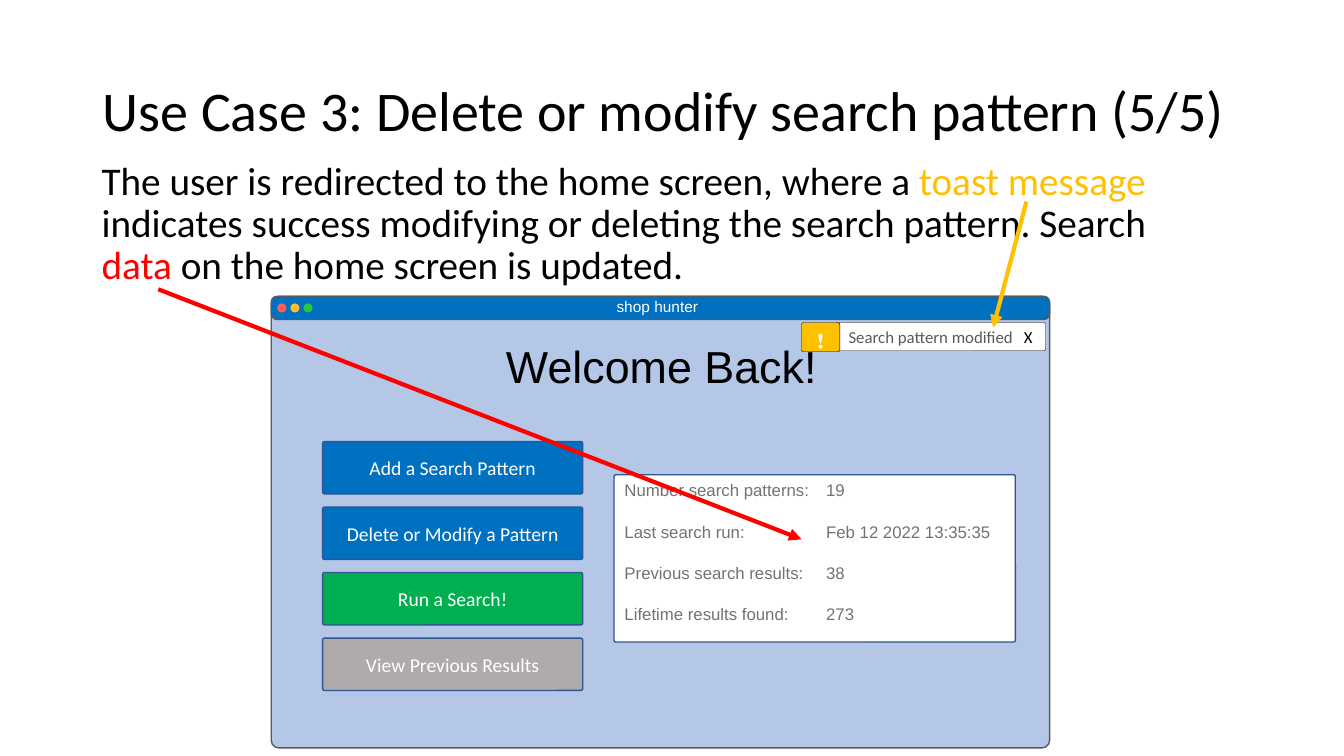
from dataclasses import dataclass

from lxml import etree
from pptx import Presentation
from pptx import util as u
from pptx.dml.color import RGBColor
from pptx.enum import shapes, text
from pptx.oxml import ns


@dataclass
class Theme:
    sans: str = "Calibri"
    app: str = "Arial"
    black: str = "000000"
    white: str = "FFFFFF"
    blue: str = "0070C0"
    pale: str = "B4C7E7"
    edge: str = "325491"
    frame: str = "595959"
    label: str = "767171"
    green: str = "00B050"
    gray: str = "AFABAB"
    gold: str = "FFC000"
    red: str = "FF0000"
    title: int = 40
    body: int = 28
    hero: int = 32
    button: int = 14
    small: int = 12
    bar: int = 11


T = Theme()
TITLE = "Use Case 3: Delete or modify search pattern (5/5)"
BODY = [
    ("The user is redirected to the home screen, where a ", T.black),
    ("toast message ", T.gold),
    ("indicates success modifying or deleting the search pattern. Search ", T.black),
    ("data", T.red),
    (" on the home screen is updated.", T.black),
]
APP = "shop hunter"
HERO = "Welcome Back!"
DOTS = ["FF5F57", "FFBC2E", "28C840"]
BUTTONS = [
    ("Add a Search Pattern", T.blue),
    ("Delete or Modify a Pattern", T.blue),
    ("Run a Search!", T.green),
    ("View Previous Results", T.gray),
]
STATS = [
    ("Number search patterns:", "19"),
    ("Last search run:", "Feb 12 2022 13:35:35"),
    ("Previous search results:", "38"),
    ("Lifetime results found:", "273"),
]
TOAST = [("Search pattern modified\t", T.frame), ("X", T.black)]
ALERT = [("❗️", T.white)]
ARROWS = [
    ((10.18, 2), (9.85, 3.25), T.gold),
    ((1.57, 2.87), (7.95, 5.35), T.red),
]

LEFT, MID = text.PP_ALIGN.LEFT, text.PP_ALIGN.CENTER
TOP, CENTER = text.MSO_ANCHOR.TOP, text.MSO_ANCHOR.MIDDLE
ROUND, OVAL = shapes.MSO_SHAPE.ROUNDED_RECTANGLE, shapes.MSO_SHAPE.OVAL


def color(code):
    return RGBColor.from_string(code)


def place(box):
    return [u.Inches(n) for n in box]


def write(item, lines, size, font, align=LEFT, anchor=TOP, wrap=True):
    frame = item.text_frame
    frame.word_wrap = wrap
    frame.vertical_anchor = anchor
    for i, line in enumerate(lines):
        para = frame.add_paragraph() if i else frame.paragraphs[0]
        para.alignment = align
        for words, tint in line:
            run = para.add_run()
            run.text = words
            run.font.size = u.Pt(size)
            run.font.name = font
            run.font.color.rgb = color(tint)
    return frame


def label(box, line, size, font, align=LEFT, wrap=True):
    item = slide.shapes.add_textbox(*place(box))
    return write(item, [line], size, font, align, wrap=wrap)


def draw(kind, box, fill, edge=None, width=1, round=None):
    item = slide.shapes.add_shape(kind, *place(box))
    item.shadow.inherit = False
    item.fill.solid()
    item.fill.fore_color.rgb = color(fill)
    if edge:
        item.line.color.rgb = color(edge)
        item.line.width = u.Pt(width)
    else:
        item.line.fill.background()
    if round is not None:
        item.adjustments[0] = round
    return item


def tab(para, inch):
    stops = etree.SubElement(para._p.get_or_add_pPr(), ns.qn("a:tabLst"))
    etree.SubElement(stops, ns.qn("a:tab"), pos=str(u.Inches(inch)), algn="l")


def arrow(start, end, tint):
    line = slide.shapes.add_connector(
        shapes.MSO_CONNECTOR.STRAIGHT, *place(start + end))
    line.line.color.rgb = color(tint)
    line.line.width = u.Pt(3)
    etree.SubElement(line.line._get_or_add_ln(), ns.qn("a:tailEnd"), type="triangle")
    etree.SubElement(line._element.spPr, ns.qn("a:effectLst"))


deck = Presentation()
deck.slide_width, deck.slide_height = place((13.33, 7.5))
slide = deck.slides.add_slide(deck.slide_layouts[5])

title = slide.shapes.title
title.left, title.top, title.width, title.height = place((0.92, 0.4, 11.5, 1.45))
head = write(title, [[(TITLE, T.black)]], T.title, T.sans, anchor=CENTER)
head.paragraphs[0].line_spacing = 0.9

body = label((0.91, 1.55, 10.67, 1.4), BODY, T.body, T.sans)
body.paragraphs[0].line_spacing = 0.9

draw(ROUND, (2.69, 2.94, 7.72, 4.48), T.pale, T.frame, round=0.017)
draw(ROUND, (2.69, 2.94, 7.72, 0.23), T.blue, T.frame, round=0.248)
for i, tint in enumerate(DOTS):
    draw(OVAL, (2.75 + 0.13 * i, 3.01, 0.09, 0.09), tint)
label((6.01, 2.9, 1.02, 0.29), [(APP, T.white)], T.bar, T.app, MID, False)
label((4.92, 3.31, 3.31, 0.64), [(HERO, T.black)], T.hero, T.app, wrap=False)

for i, (words, fill) in enumerate(BUTTONS):
    button = draw(ROUND, (3.2, 4.38 + 0.65 * i, 2.58, 0.52), fill, T.edge, round=0.038)
    write(button, [[(words, T.white)]], T.button, T.sans, MID, CENTER)

panel = draw(ROUND, (6.09, 4.71, 3.98, 1.66), T.white, T.edge, round=0.011)
rows = [[(f"{name}\t{value}", T.label)] for name, value in STATS]
stats = write(panel, rows, T.small, T.app)
for i, para in enumerate(stats.paragraphs):
    if i:
        para.space_before = u.Pt(15)
    tab(para, 2)

toast = draw(ROUND, (8.29, 3.2, 2.08, 0.28), T.white, T.black, 0.25, 0.068)
note = write(toast, [TOAST], T.small, T.sans, anchor=CENTER)
note.margin_left, note.margin_right = place((0.12, 0.05))
tab(note.paragraphs[0], 1.74)

badge = draw(ROUND, (7.95, 3.2, 0.38, 0.29), T.gold, T.black, 0.25, 0.068)
mark = write(badge, [ALERT], T.small, T.sans, MID, CENTER)
mark.margin_top = u.Inches(0.1)

for start, end, tint in ARROWS:
    arrow(start, end, tint)

deck.save("out.pptx")
